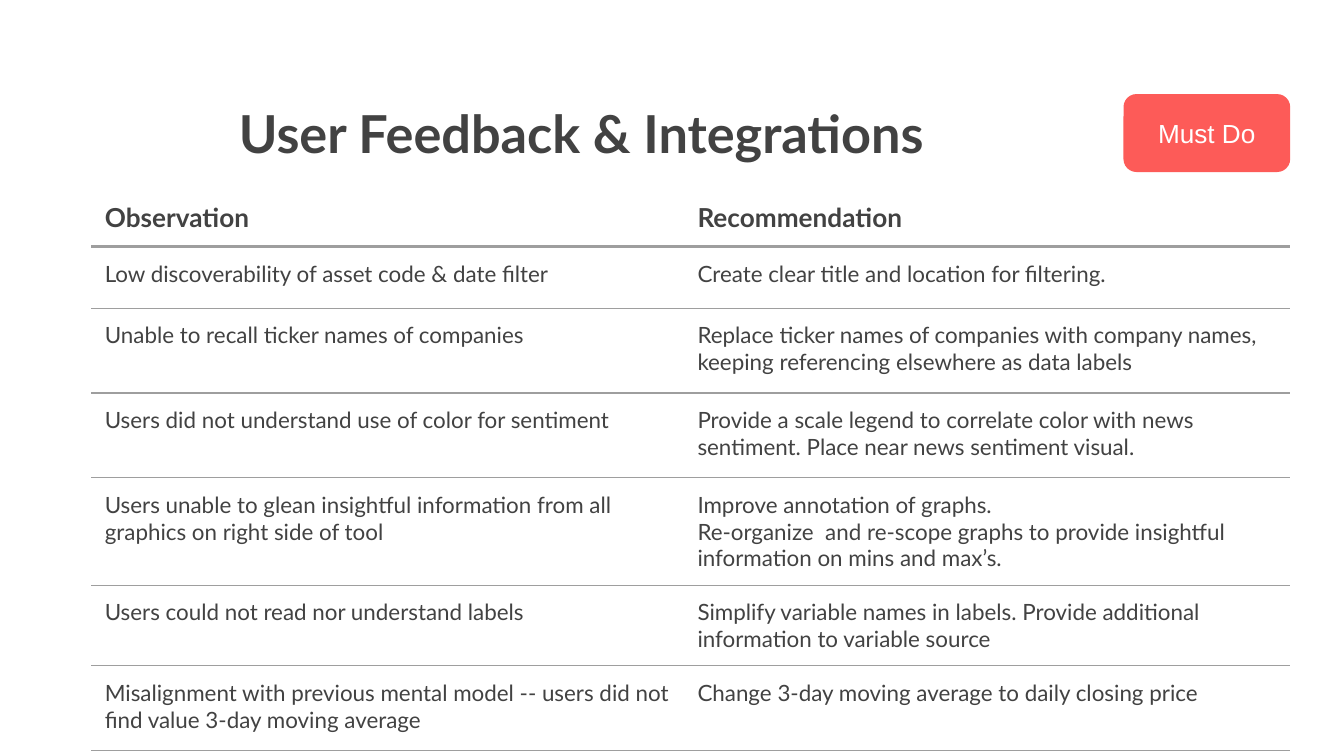
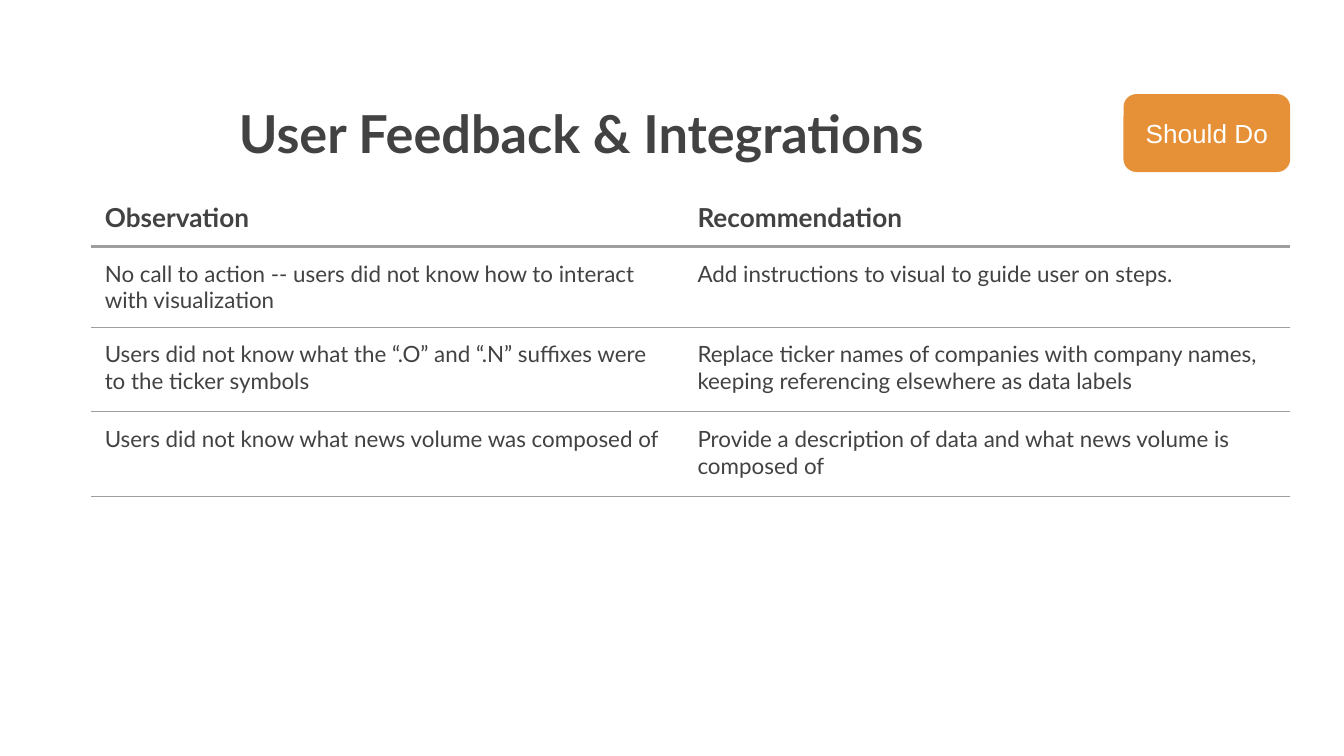
from dataclasses import dataclass

from lxml import etree
from pptx import Presentation
from pptx.dml.color import RGBColor
from pptx.enum.shapes import MSO_SHAPE
from pptx.enum.text import MSO_ANCHOR, PP_ALIGN
from pptx.oxml.ns import qn
from pptx.util import Inches, Pt

ROUNDED = MSO_SHAPE.ROUNDED_RECTANGLE
TOP, MIDDLE = MSO_ANCHOR.TOP, MSO_ANCHOR.MIDDLE
LEFT, CENTER = PP_ALIGN.LEFT, PP_ALIGN.CENTER

SLIDE_WIDTH = Inches(10)
SLIDE_HEIGHT = SLIDE_WIDTH * 9 // 16
INK, RULE, WHITE = "424242", "9E9E9E", "FFFFFF"
RED, ORANGE = "FD5B58", "E69138"
TITLE = "User Feedback & Integrations"
HEADINGS = ("Observation", "Recommendation")
COLUMN_WIDTHS = (4.41, 4.51)
HEADER_HEIGHT = 0.3
THIN, THICK = 0.75, 1.5
MARGINS = {
    "margin_left": Inches(0.1),
    "margin_right": Inches(0.1),
    "margin_top": Inches(0.1),
    "margin_bottom": Inches(0.1),
}


@dataclass(frozen=True)
class TextStyle:
    size: float
    font: str = "Lato"
    color: str = INK
    bold: bool = False
    align: int = LEFT


@dataclass(frozen=True)
class Finding:
    observation: str
    recommendation: str
    height: float = 0.63


@dataclass(frozen=True)
class Priority:
    label: str
    color: str
    findings: tuple[Finding, ...]


TITLE_STYLE = TextStyle(28, bold=True)
HEADING_STYLE = TextStyle(14, bold=True)
BODY_STYLE = TextStyle(12)
BADGE_STYLE = TextStyle(14, font="Arial", color=WHITE, align=CENTER)

COMPANY_NAMES = (
    "Replace ticker names of companies with company names, "
    "keeping referencing elsewhere as data labels"
)

PRIORITIES = (
    Priority("Must Do", RED, (
        Finding("Low discoverability of asset code & date filter",
                "Create clear title and location for filtering.", 0.46),
        Finding("Unable to recall ticker names of companies", COMPANY_NAMES),
        Finding("Users did not understand use of color for sentiment",
                "Provide a scale legend to correlate color with news sentiment. "
                "Place near news sentiment visual."),
        Finding("Users unable to glean insightful information from all "
                "graphics on right side of tool",
                "Improve annotation of graphs.\n"
                "Re-organize  and re-scope graphs to provide insightful "
                "information on mins and max’s."),
        Finding("Users could not read nor understand labels",
                "Simplify variable names in labels. Provide additional "
                "information to variable source", 0.46),
        Finding("Misalignment with previous mental model -- users did not "
                "find value 3-day moving average",
                "Change 3-day moving average to daily closing price"),
    )),
    Priority("Should Do", ORANGE, (
        Finding("No call to action -- users did not know how to interact "
                "with visualization",
                "Add instructions to visual to guide user on steps.", 0.46),
        Finding("Users did not know what the “.O” and “.N” suffixes were "
                "to the ticker symbols", COMPANY_NAMES),
        Finding("Users did not know what news volume was composed of",
                "Provide a description of data and what news volume is "
                "composed of"),
    )),
)


def rgb(color: str) -> RGBColor:
    return RGBColor.from_string(color)


def apply(target, values: dict) -> None:
    for name, value in values.items():
        setattr(target, name, value)


def write(frame, text: str, style: TextStyle) -> None:
    frame.text = text
    for paragraph in frame.paragraphs:
        paragraph.alignment = style.align
        for run in paragraph.runs:
            apply(run.font, {"name": style.font, "size": Pt(style.size), "bold": style.bold})
            run.font.color.rgb = rgb(style.color)


def set_borders(cell, top: float, bottom: float) -> None:
    properties = cell._tc.get_or_add_tcPr()
    widths = {"a:lnL": 0, "a:lnR": 0, "a:lnT": top, "a:lnB": bottom}
    for position, (tag, width) in enumerate(widths.items()):
        border = etree.Element(qn(tag), w=str(Pt(width)))
        if width:
            fill = etree.SubElement(border, qn("a:solidFill"))
            etree.SubElement(fill, qn("a:srgbClr"), val=RULE)
        else:
            etree.SubElement(border, qn("a:noFill"))
        properties.insert(position, border)


def add_title(slide) -> None:
    title = slide.shapes.add_textbox(Inches(1.68), Inches(0.65), Inches(7.43), Inches(1.09))
    apply(title.text_frame, {**MARGINS, "word_wrap": True, "vertical_anchor": TOP})
    write(title.text_frame, TITLE, TITLE_STYLE)


def add_findings(slide, findings: tuple[Finding, ...]) -> None:
    rows = [HEADINGS] + [(item.observation, item.recommendation) for item in findings]
    heights = [HEADER_HEIGHT] + [item.height for item in findings]
    table = slide.shapes.add_table(
        len(rows), len(COLUMN_WIDTHS), Inches(0.68), Inches(1.4),
        Inches(sum(COLUMN_WIDTHS)), Inches(sum(heights)),
    ).table
    apply(table, {"first_row": False, "horz_banding": False})
    for column, width in zip(table.columns, COLUMN_WIDTHS):
        column.width = Inches(width)
    for index, (row, texts, height) in enumerate(zip(table.rows, rows, heights)):
        row.height = Inches(height)
        style = BODY_STYLE if index else HEADING_STYLE
        top = (0, THICK)[index] if index < 2 else THIN
        bottom = THIN if index else THICK
        for cell, text in zip(row.cells, texts):
            apply(cell, {**MARGINS, "vertical_anchor": TOP})
            cell.fill.background()
            set_borders(cell, top, bottom)
            write(cell.text_frame, text, style)


def add_badge(slide, label: str, color: str) -> None:
    badge = slide.shapes.add_shape(ROUNDED, Inches(8.36), Inches(0.7), Inches(1.24), Inches(0.58))
    badge.shadow.inherit = False
    badge.fill.solid()
    badge.fill.fore_color.rgb = rgb(color)
    badge.line.fill.background()
    apply(badge.text_frame, {**MARGINS, "word_wrap": True, "vertical_anchor": MIDDLE})
    write(badge.text_frame, label, BADGE_STYLE)


def main() -> None:
    deck = Presentation()
    apply(deck, {"slide_width": SLIDE_WIDTH, "slide_height": SLIDE_HEIGHT})
    blank = deck.slide_layouts[6]
    for priority in PRIORITIES:
        slide = deck.slides.add_slide(blank)
        add_title(slide)
        add_findings(slide, priority.findings)
        add_badge(slide, priority.label, priority.color)
    deck.save("out.pptx")


if __name__ == "__main__":
    main()
